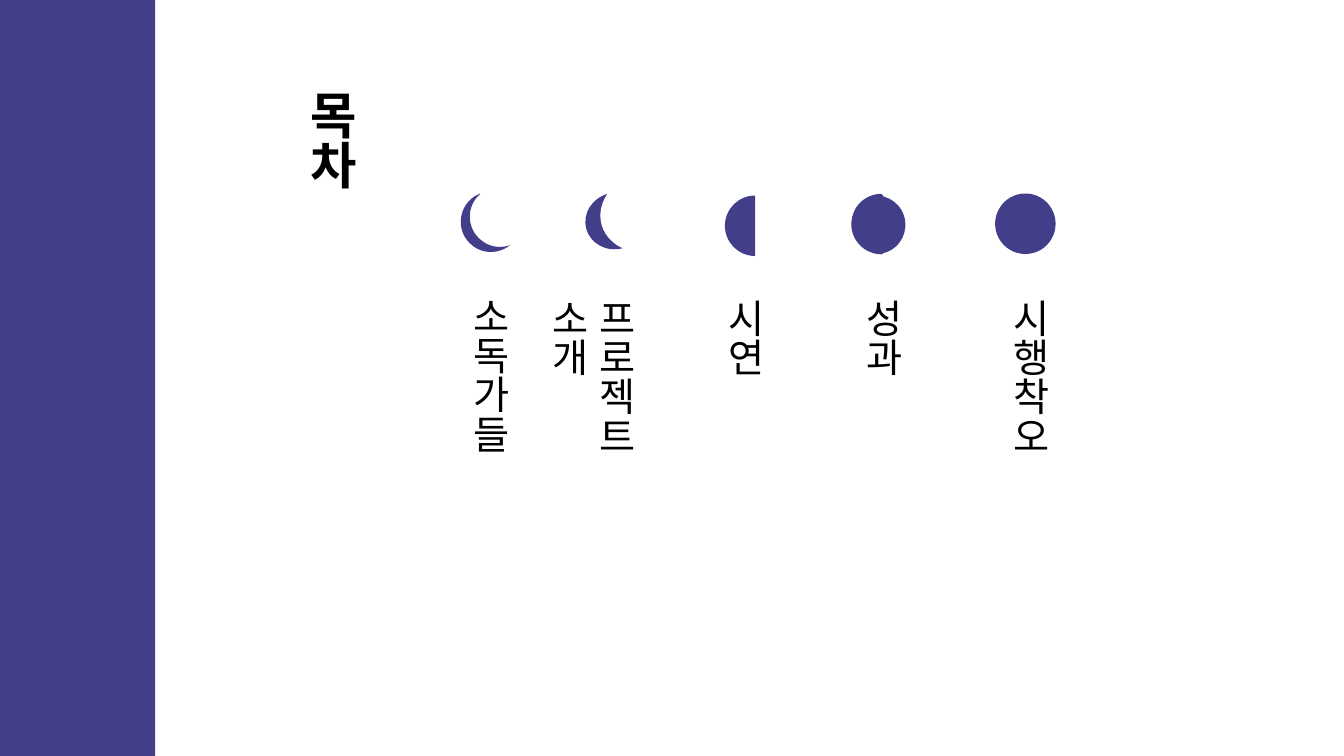
from itertools import islice
from math import cos, radians, sin, tan

from lxml.etree import SubElement
from pptx import Presentation
from pptx.dml.color import RGBColor as RGB
from pptx.enum.shapes import MSO_SHAPE as Shape
from pptx.enum.text import MSO_ANCHOR as Anchor
from pptx.enum.text import MSO_AUTO_SIZE as Fit
from pptx.enum.text import PP_ALIGN as Align
from pptx.oxml.ns import qn
from pptx.util import Inches, Pt

FONT = "Noto Sans CJK KR"
HUES = {"moon": "433E8A", "sky": "FFFFFF", "text": "000000"}
FRAME = {
    "word_wrap": True,
    "auto_size": Fit.SHAPE_TO_FIT_TEXT,
    "vertical_anchor": Anchor.TOP,
}
INSETS = {
    "margin_left": Inches(0.05),
    "margin_right": Inches(0.05),
    "margin_top": Inches(0.1),
    "margin_bottom": Inches(0.1),
}
HEAD = {"name": FONT, "size": Pt(36), "bold": True}
ITEM = {"name": FONT, "size": Pt(28), "bold": False}

LABELS = [
    ("소독가들", 4.47, 2.85, 2.72),
    ("프로젝트 소개", 5.72, 2.87, 2.56),
    ("시연", 7, 2.87, 3.31),
    ("성과", 8.37, 2.87, 3.15),
    ("시행착오", 9.83, 2.87, 3.15),
]
THIN = [
    (4.87, 2.2, 0.3, 0.3, (248, 180, 90, 50)),
    (4.96, 2.15, 0.3, 0.3, (70, 90, 180, 229)),
]
YOUNG = [(6.11, 2.23, 0.3, 0.28, (270, 180, 90))]
HALF = [(7.49, 2.24, 0.3, 0.3, (270, 180, 90))]
FULLER = [
    (8.74, 2.24, 0.3, 0.3, (300, 270, 180, 120)),
    (8.69, 2.22, 0.29, 0.29, (105, 90, 0, -45)),
]


def assign(target, values):
    for key, value in values.items():
        setattr(target, key, value)


def paint(shape, hue):
    shape.shadow.inherit = False
    shape.fill.solid()
    shape.fill.fore_color.rgb = RGB.from_string(HUES[hue])
    shape.line.fill.background()


def add_solid(slide, kind, box, hue, turn=0):
    shape = slide.shapes.add_shape(kind, *map(Inches, box))
    shape.rotation = turn
    paint(shape, hue)


def trace(x, y, wide, high, cuts):
    def spot(angle, pull=0):
        across = cos(angle) - pull * sin(angle)
        down = sin(angle) + pull * cos(angle)
        return Inches(x + wide * across), Inches(y + high * down)

    angles = [radians(cut) for cut in cuts]
    yield spot(angles[0])
    for start, end in zip(angles, angles[1:]):
        pull = 4 / 3 * tan((end - start) / 4)
        yield from (spot(start, pull), spot(end, -pull), spot(end))


def bend(shape, arcs):
    lines = iter(list(shape._element.iter(qn("a:lnTo"))))
    for order, arc in enumerate(arcs):
        if order:
            next(lines)
        for _ in arc[-1][1:]:
            curve, *rest = islice(lines, 3)
            curve.tag = qn("a:cubicBezTo")
            for line in rest:
                curve.append(line[0])
                line.getparent().remove(line)


def add_moon(slide, arcs, turn=0):
    points = [point for arc in arcs for point in trace(*arc)]
    outline = slide.shapes.build_freeform(*points[0])
    outline.add_line_segments(points[1:], close=True)
    shape = outline.convert_to_shape()
    bend(shape, arcs)
    shape.rotation = turn
    paint(shape, "moon")


def write(shape, text, style):
    frame = shape.text_frame
    assign(frame, FRAME)
    frame._txBody.bodyPr.set("vert", "eaVert")
    line = frame.paragraphs[0]
    assign(line, {"alignment": Align.LEFT, "line_spacing": 1.0})
    run = line.add_run()
    run.text = text
    assign(run.font, style)
    run.font.color.rgb = RGB.from_string(HUES["text"])
    SubElement(run._r.get_or_add_rPr(), qn("a:ea")).set("typeface", FONT)


def add_title(slide, text, box):
    title = slide.shapes.title
    sides = ("left", "top", "width", "height")
    assign(title, dict(zip(sides, map(Inches, box))))
    write(title, text, HEAD)
    assign(title.text_frame, INSETS)


def add_label(slide, text, left, top, height):
    box = map(Inches, (left, top, 0.67, height))
    write(slide.shapes.add_textbox(*box), text, ITEM)


def main():
    deck = Presentation()
    deck.slide_width, deck.slide_height = Inches(13.33), Inches(7.5)
    slide = deck.slides.add_slide(deck.slide_layouts[5])
    add_solid(slide, Shape.RECTANGLE, (0, 0, 1.54, 7.5), "moon")
    add_title(slide, "목차", (2.83, 0.79, 0.81, 1.85))
    add_moon(slide, THIN)
    add_moon(slide, YOUNG, 345.2)
    add_solid(slide, Shape.OVAL, (5.95, 1.71, 0.94, 0.79), "sky", 345.2)
    add_moon(slide, HALF)
    add_moon(slide, FULLER, 329.8)
    add_solid(slide, Shape.OVAL, (9.87, 1.92, 0.6, 0.6), "moon")
    for label in LABELS:
        add_label(slide, *label)
    deck.save("out.pptx")


if __name__ == "__main__":
    main()
